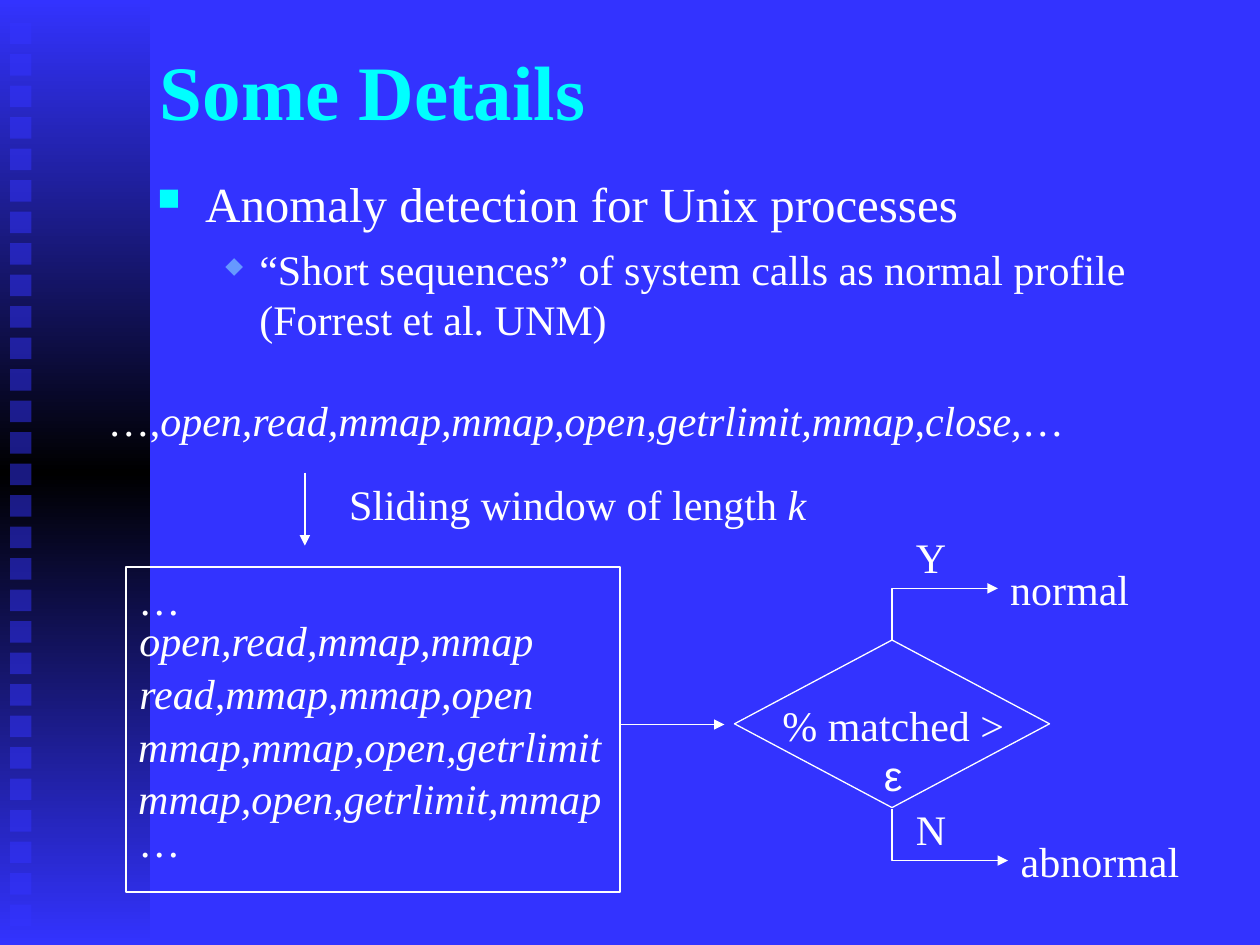
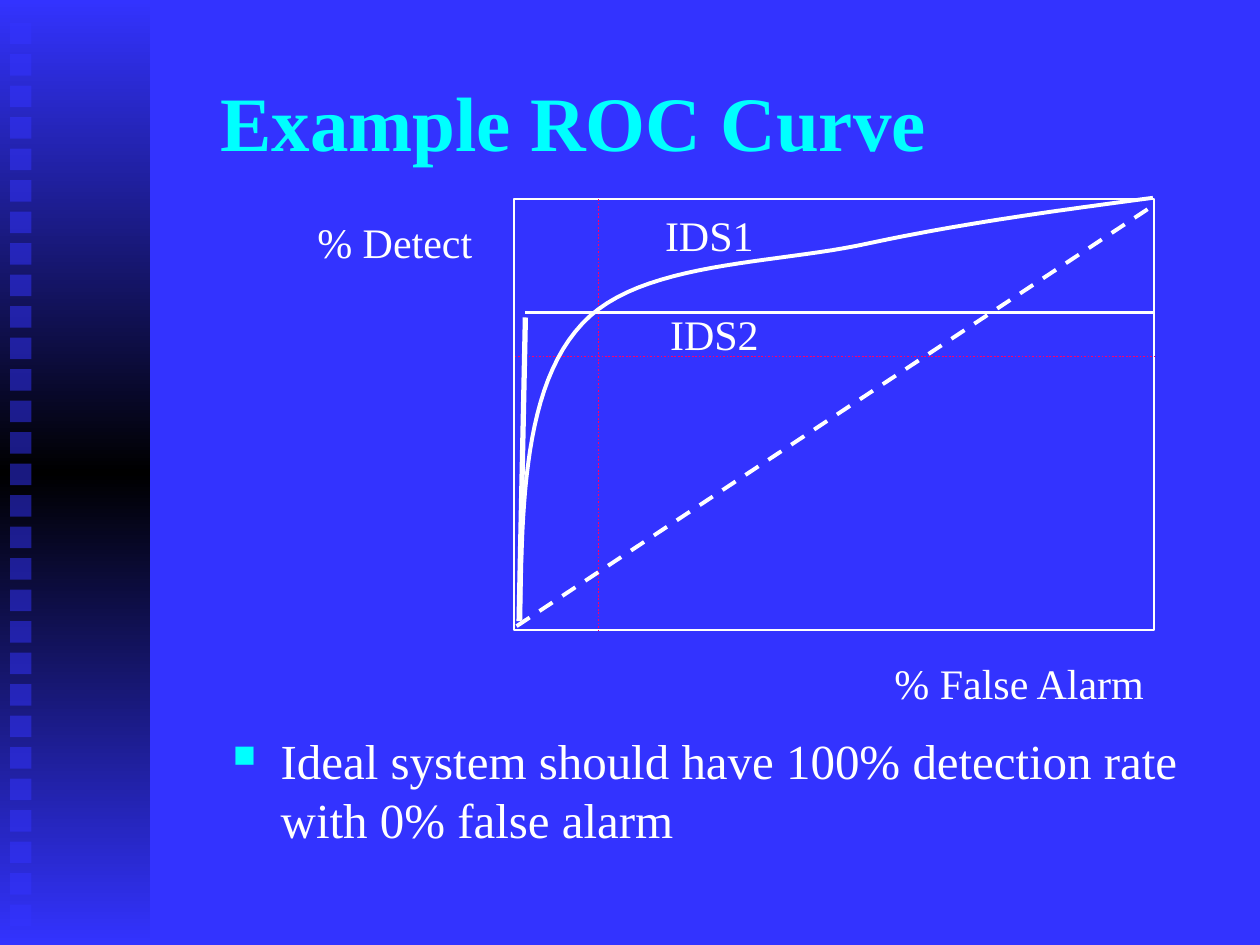
"""Build two slides on anomaly detection and ROC curves."""
from dataclasses import dataclass
from typing import Any

from pptx import Presentation
from pptx.dml.color import RGBColor
from pptx.enum.dml import MSO_LINE
from pptx.enum.shapes import MSO_CONNECTOR, MSO_SHAPE
from pptx.enum.text import MSO_ANCHOR, MSO_AUTO_SIZE, PP_ALIGN
from pptx.oxml import parse_xml
from pptx.oxml.ns import nsdecls
from pptx.util import Inches, Pt

HUES = {"blue": "3333FF", "black": "000000", "white": "FFFFFF",
        "cyan": "00FFFF", "sky": "6699FF", "red": "FF0066"}
FONT = "Times New Roman"
Point = tuple[float, float]


@dataclass(frozen=True)
class Run:
    text: str
    slant: bool = False
    font: str = FONT


@dataclass(frozen=True)
class Label:
    left: float
    top: float
    width: float
    runs: tuple[Run, ...]
    align: Any = PP_ALIGN.CENTER


@dataclass(frozen=True)
class Level:
    mark: str
    scale: int
    hue: str
    size: int
    margin: float
    indent: float
    space: int


@dataclass(frozen=True)
class Stroke:
    start: Point
    end: Point
    hue: str = "white"
    width: float = 0.75
    dash: Any = None
    arrow: bool = False


LEVELS = (Level("■", 64, "cyan", 28, 0.38, -0.38, 7),
          Level("◆", 55, "sky", 24, 0.81, -0.27, 6))


def color(name: str) -> RGBColor:
    """Look up a colour by name."""
    return RGBColor.from_string(HUES[name])


def apply(target: Any, **values: Any) -> None:
    """Set each given attribute on the target."""
    for key, value in values.items():
        setattr(target, key, value)


def node(tag: str, attrs: str = "", inner: str = "") -> Any:
    """Make one drawing element."""
    return parse_xml(f"<a:{tag} {nsdecls('a')} {attrs}>{inner}</a:{tag}>")


def swatch(name: str) -> str:
    """Give the markup of a colour."""
    return f'<a:srgbClr val="{HUES[name]}"/>'


def write(para: Any, run: Run, size: int, hue: str = "white", bold: bool = False) -> None:
    """Add a styled run to a paragraph."""
    part = para.add_run()
    part.text = run.text
    apply(part.font, name=run.font, size=Pt(size), bold=bold, italic=run.slant)
    part.font.color.rgb = color(hue)


def add_frame(slide: Any, left: float, top: float, width: float, height: float,
              **values: Any) -> Any:
    """Add a wrapping text box and return its frame."""
    box = slide.shapes.add_textbox(Inches(left), Inches(top), Inches(width), Inches(height))
    apply(box.text_frame, word_wrap=True, **values)
    return box.text_frame


def add_title(slide: Any, text: str, *place: float) -> None:
    """Add the slide title."""
    frame = add_frame(slide, *place, vertical_anchor=MSO_ANCHOR.MIDDLE)
    write(frame.paragraphs[0], Run(text), 44, "cyan", True)


def add_body(slide: Any, lines: tuple[str, ...], *place: float) -> None:
    """Add bullets, each one level deeper than the last."""
    frame = add_frame(slide, *place)
    for count, (text, level) in enumerate(zip(lines, LEVELS)):
        para = frame.add_paragraph() if count else frame.paragraphs[0]
        props = para._p.get_or_add_pPr()
        props.set("marL", str(Inches(level.margin)))
        props.set("indent", str(Inches(level.indent)))
        props.append(node("buClr", inner=swatch(level.hue)))
        props.append(node("buSzPct", f'val="{level.scale * 1000}"'))
        props.append(node("buChar", f'char="{level.mark}"'))
        para.space_before = Pt(level.space if count else 0)
        write(para, Run(text), level.size)


def add_label(slide: Any, label: Label) -> None:
    """Add a short text."""
    frame = add_frame(slide, label.left, label.top, label.width, 0.5,
                      auto_size=MSO_AUTO_SIZE.SHAPE_TO_FIT_TEXT)
    para = frame.paragraphs[0]
    para.alignment = label.align
    for run in label.runs:
        write(para, run, 24)


def draw_line(line: Any, hue: str, width: float, dash: Any = None, arrow: bool = False) -> None:
    """Style a line."""
    line.color.rgb = color(hue)
    apply(line, width=Pt(width), dash_style=dash)
    if arrow:
        line._get_or_add_ln().append(node("tailEnd", 'type="triangle"'))


def add_stroke(slide: Any, stroke: Stroke) -> None:
    """Add a straight line."""
    ends = [Inches(value) for value in (*stroke.start, *stroke.end)]
    link = slide.shapes.add_connector(MSO_CONNECTOR.STRAIGHT, *ends)
    draw_line(link.line, stroke.hue, stroke.width, stroke.dash, stroke.arrow)
    link._element.spPr.append(node("effectLst"))


def add_shape(slide: Any, kind: Any, *place: float) -> Any:
    """Add a plain shape without fill or line."""
    shape = slide.shapes.add_shape(kind, *map(Inches, place))
    shape.shadow.inherit = False
    shape.fill.background()
    shape.line.fill.background()
    return shape


def add_trace(slide: Any, points: list[Point], width: float, arrow: bool = False) -> None:
    """Add an open outline through the points."""
    first, *rest = [(Inches(x), Inches(y)) for x, y in points]
    builder = slide.shapes.build_freeform(*first)
    builder.add_line_segments(rest, close=False)
    shape = builder.convert_to_shape()
    shape.shadow.inherit = False
    shape.fill.background()
    draw_line(shape.line, "white", width, arrow=arrow)


def bend(knots: list[Point], steps: int = 24) -> list[Point]:
    """Trace joined cubic curves as points."""
    points = [knots[0]]
    for base in range(0, len(knots) - 1, 3):
        for step in range(1, steps + 1):
            t = step / steps
            parts = ((1 - t) ** 3, 3 * t * (1 - t) ** 2, 3 * t * t * (1 - t), t ** 3)
            quad = knots[base:base + 4]
            points.append((sum(p * x for p, (x, _) in zip(parts, quad)),
                           sum(p * y for p, (_, y) in zip(parts, quad))))
    return points


def add_slide(deck: Any) -> Any:
    """Add a slide with the side band and its squares."""
    slide = deck.slides.add_slide(deck.slide_layouts[6])
    slide.background.fill.solid()
    slide.background.fill.fore_color.rgb = color("blue")
    band = add_shape(slide, MSO_SHAPE.RECTANGLE, 0, 0, 1.19, 7.5)
    stops = "".join(f'<a:gs pos="{place}">{swatch(name)}</a:gs>' for place, name in
                    ((0, "blue"), (50000, "black"), (100000, "blue")))
    blend = node("gradFill", 'rotWithShape="1"',
                 f'<a:gsLst>{stops}</a:gsLst><a:lin ang="5400000" scaled="0"/>')
    props = band._element.spPr
    props.replace(props.find("{*}noFill"), blend)
    for row in range(29):
        square = add_shape(slide, MSO_SHAPE.RECTANGLE, 0.08, 0.18 + 0.25 * row, 0.17, 0.17)
        square.fill.solid()
        square.fill.fore_color.rgb = color("blue")
        tint = square._element.spPr.find("{*}solidFill/{*}srgbClr")
        tint.append(node("alpha", 'val="50000"'))
    return slide


def add_details(deck: Any) -> None:
    """Build the slide on system call profiles."""
    slide = add_slide(deck)
    add_title(slide, "Some Details", 1.17, 0.17, 8.08, 1.08)
    add_body(slide, ("Anomaly detection for Unix processes",
                     "“Short sequences” of system calls as normal profile "
                     "(Forrest et al. UNM)"), 1.15, 1.33, 8.68, 1.58)
    for kind, place in ((MSO_SHAPE.RECTANGLE, (1, 4.5, 3.92, 2.58)),
                        (MSO_SHAPE.FLOWCHART_DECISION, (5.83, 5.08, 2.5, 1.33))):
        draw_line(add_shape(slide, kind, *place).line, "white", 0.75)
    dots = (Run("…"),)
    calls = "open,read,mmap,mmap,open,getrlimit,mmap,close,"
    names = calls.split(",")
    for start, (top, width) in enumerate(((4.83, 3.54), (5.25, 3.54),
                                          (5.67, 4.07), (6.08, 4.07))):
        window = ",".join(names[start:start + 4])
        add_label(slide, Label(0.9, top, width, (Run(window, True),)))
    for label in (
        Label(0.65, 3.08, 8, (Run("…,"), Run(calls, True), *dots)),
        Label(0.9, 4.5, 0.73, dots),
        Label(0.9, 6.42, 0.73, dots),
        Label(2.57, 3.75, 4.03, (Run("Sliding window of length "), Run("k", True))),
        Label(6.09, 5.5, 2, (Run("% matched > "), Run("ε", font="Arial"))),
        Label(7.07, 4.17, 0.64, (Run("Y"),)),
        Label(7.07, 6.33, 0.64, (Run("N"),)),
        Label(7.82, 4.42, 1.34, (Run("normal"),)),
        Label(7.9, 6.58, 1.66, (Run("abnormal"),)),
    ):
        add_label(slide, label)
    for start, end in (((2.42, 3.75), (2.42, 4.33)), ((4.92, 5.75), (5.75, 5.75))):
        add_stroke(slide, Stroke(start, end, arrow=True))
    for base, turn, tip in ((5.08, 4.67, 7.92), (6.42, 6.83, 8)):
        add_trace(slide, [(7.08, base), (7.08, turn), (tip, turn)], 0.75, True)


def add_roc(deck: Any) -> None:
    """Build the slide with the ROC sketch."""
    slide = add_slide(deck)
    add_title(slide, "Example ROC Curve", 1.65, 0.33, 7.68, 1.25)
    add_body(slide, ("Ideal system should have 100% detection rate with 0% false alarm",),
             1.75, 5.75, 8, 1.17)
    plot = add_shape(slide, MSO_SHAPE.RECTANGLE, 4.08, 1.58, 5.08, 3.42)
    draw_line(plot.line, "white", 1)
    for text, left, top, width in (
        ("% Detect", 2.42, 1.67, 1.6),
        ("% False Alarm", 7, 5.17, 2.4),
        ("IDS1", 5.18, 1.61, 1.1),
        ("IDS2", 5.22, 2.4, 1.1),
    ):
        add_label(slide, Label(left, top, width, (Run(text),), PP_ALIGN.LEFT))
    for stroke in (
        Stroke((4.75, 1.58), (4.75, 5), "red", 1, MSO_LINE.ROUND_DOT),
        Stroke((9.17, 2.83), (4.08, 2.83), "red", 1, MSO_LINE.ROUND_DOT),
        Stroke((4.1, 4.97), (9.17, 1.62), width=2.25, dash=MSO_LINE.DASH),
        Stroke((4.12, 4.93), (4.17, 2.52), width=3),
        Stroke((4.17, 2.48), (9.17, 2.48), width=2.25),
    ):
        add_stroke(slide, stroke)
    add_trace(slide, bend([(4.13, 4.92), (4.14, 3.99), (4.16, 3.06), (4.62, 2.57),
                           (5.08, 2.07), (6.14, 2.1), (6.9, 1.93),
                           (7.65, 1.77), (8.4, 1.67), (9.15, 1.57)]), 2.25)


def main() -> None:
    """Build and save the deck."""
    deck = Presentation()
    apply(deck, slide_width=Inches(10), slide_height=Inches(7.5))
    add_details(deck)
    add_roc(deck)
    deck.save("out.pptx")


if __name__ == "__main__":
    main()
